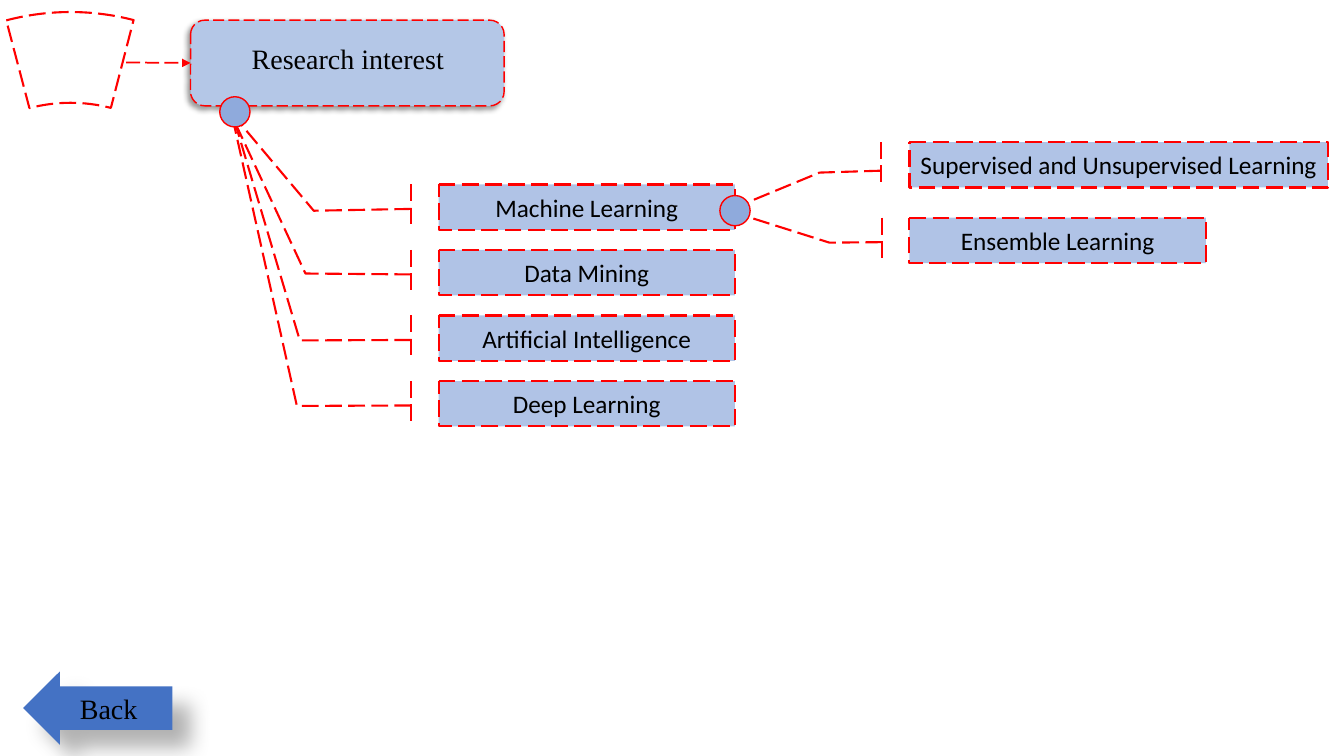
from lxml import etree
from pptx import Presentation
from pptx.dml.color import RGBColor
from pptx.enum.dml import MSO_LINE
from pptx.enum.shapes import MSO_CONNECTOR, MSO_SHAPE
from pptx.enum.text import MSO_ANCHOR, PP_ALIGN
from pptx.oxml.ns import qn
from pptx.util import Inches, Pt

LONG_DASH = MSO_LINE.LONG_DASH
STRAIGHT = MSO_CONNECTOR.STRAIGHT
CALLOUT = MSO_SHAPE.LINE_CALLOUT_2_BORDER_AND_ACCENT_BAR
ROUNDED = MSO_SHAPE.ROUNDED_RECTANGLE
BLOCK_ARC = MSO_SHAPE.BLOCK_ARC
LEFT_ARROW = MSO_SHAPE.LEFT_ARROW
OVAL = MSO_SHAPE.OVAL
MIDDLE = MSO_ANCHOR.MIDDLE
TOP = MSO_ANCHOR.TOP
CENTER = PP_ALIGN.CENTER

RED, BLUE, PALE_BLUE, ARROW_BLUE = "FF0000", "8FAADC", "B4C7E7", "4472C4"
BLACK, WHITE = "000000", "FFFFFF"
SERIF, SANS = "Times New Roman", "Calibri"

BOX_LEFT, BOX_WIDTH, BOX_HEIGHT = 4.35, 2.94, 0.45
FIELDS_TOP, FIELD_STEP = 1.83, 0.65
METHODS_LEFT, METHODS_TOP, METHOD_STEP = 9.02, 1.41, 0.75

# Leader points as fractions of the box: y1, x1, y2, x2, y3, x3
FIELDS = [
    ("Machine Learning", (0.539, -0.092, 0.58, -0.421, -1.493, -0.688)),
    ("Data Mining", (0.539, -0.092, 0.519, -0.449, -2.898, -0.693)),
    ("Artificial Intelligence", (0.539, -0.092, 0.55, -0.468, -4.395, -0.693)),
    ("Deep Learning", (0.539, -0.092, 0.55, -0.478, -5.861, -0.697)),
]
METHODS = [
    ("Supervised and Unsupervised Learning", 4.15,
     (0.63, -0.068, 0.672, -0.215, 1.469, -0.424)),
    ("Ensemble Learning", BOX_WIDTH,
     (0.539, -0.092, 0.55, -0.27, -0.119, -0.593)),
]


def paint(color_format, color):
    color_format.rgb = RGBColor.from_string(color)


def add_outlined(slide, preset, box, fill, line_width=None, dash=None,
                 adjustments=(), opacity=None):
    """Add a filled preset shape, with a red outline if line_width is given."""
    shape = slide.shapes.add_shape(preset, *map(Inches, box))
    shape.shadow.inherit = False
    for index, value in enumerate(adjustments):
        shape.adjustments[index] = value
    shape.fill.solid()
    paint(shape.fill.fore_color, fill)
    if opacity is not None:
        color = shape.element.spPr.find(qn("a:solidFill"))[0]
        etree.SubElement(color, qn("a:alpha"), val=str(opacity * 1000))
    if line_width is None:
        shape.line.fill.background()
    else:
        paint(shape.line.color, RED)
        shape.line.width = Pt(line_width)
        shape.line.dash_style = dash
    return shape


def add_shadow(shape, opacity, blur, distance, angle):
    effects = shape.element.spPr.find(qn("a:effectLst"))
    shadow = etree.SubElement(
        effects, qn("a:outerShdw"), blurRad=str(Pt(blur)),
        dist=str(Pt(distance)), dir=str(angle * 60000),
        algn="ctr", rotWithShape="0")
    color = etree.SubElement(shadow, qn("a:srgbClr"), val=BLACK)
    etree.SubElement(color, qn("a:alpha"), val=str(opacity * 1000))


def set_label(shape, text, size, font_name, anchor=MIDDLE):
    frame = shape.text_frame
    frame.text = text
    frame.word_wrap = True
    frame.vertical_anchor = anchor
    paragraph = frame.paragraphs[0]
    paragraph.alignment = CENTER
    font = paragraph.runs[0].font
    font.size = Pt(size)
    font.name = font_name
    paint(font.color, BLACK)


def add_topic(slide, text, left, top, width, leader):
    topic = add_outlined(slide, CALLOUT, (left, top, width, BOX_HEIGHT), BLUE,
                         1.5, LONG_DASH, leader, 70)
    set_label(topic, text, 18, SANS)


def add_hub(slide, left, top):
    add_outlined(slide, OVAL, (left, top, 0.3, 0.3), BLUE, 1)


def add_arrow(slide, start, end, target):
    """Draw a dashed arrow that ends at the middle of target's left side."""
    arrow = slide.shapes.add_connector(STRAIGHT, *map(Inches, start + end))
    arrow.end_connect(target, 1)
    paint(arrow.line.color, RED)
    arrow.line.width = Pt(1.25)
    arrow.line.dash_style = LONG_DASH
    properties = arrow.element.spPr
    etree.SubElement(properties.find(qn("a:ln")), qn("a:tailEnd"),
                     type="triangle")
    etree.SubElement(properties, qn("a:effectLst"))


def place_title(slide, text):
    title = slide.shapes.title
    title.left, title.top = Inches(2), Inches(0.36)
    title.width, title.height = Inches(2.9), Inches(0.44)
    set_label(title, text, 20, SERIF, TOP)
    # Bring the title in front of the heading panel
    title.element.getparent().append(title.element)


def main():
    presentation = Presentation()
    presentation.slide_width = Inches(13.33)
    presentation.slide_height = Inches(7.5)
    slide = presentation.slides.add_slide(presentation.slide_layouts[5])

    back = add_outlined(slide, LEFT_ARROW, (0.23, 6.66, 1.48, 0.73),
                        ARROW_BLUE, adjustments=(0.592, 0.5))
    add_shadow(back, 30, 15, 18, 45)
    set_label(back, "Back", 20, SERIF)

    heading = add_outlined(slide, ROUNDED, (1.89, 0.2, 3.11, 0.85), PALE_BLUE,
                           1, LONG_DASH)
    add_shadow(heading, 40, 4, 3, 135)
    add_arrow(slide, (1.25, 0.62), (1.89, 0.63), heading)
    add_outlined(slide, BLOCK_ARC, (-1.8, 0.12, 5, 5), WHITE, 1.5, LONG_DASH,
                 (153.141, 170.691, 0.18), 56)
    place_title(slide, "Research interest")

    for row, (text, leader) in enumerate(FIELDS):
        add_topic(slide, text, BOX_LEFT, FIELDS_TOP + row * FIELD_STEP,
                  BOX_WIDTH, leader)
    for row, (text, width, leader) in enumerate(METHODS):
        add_topic(slide, text, METHODS_LEFT, METHODS_TOP + row * METHOD_STEP,
                  width, leader)

    add_hub(slide, 2.18, 0.96)
    add_hub(slide, 7.14, 1.94)

    presentation.save("out.pptx")


if __name__ == "__main__":
    main()
